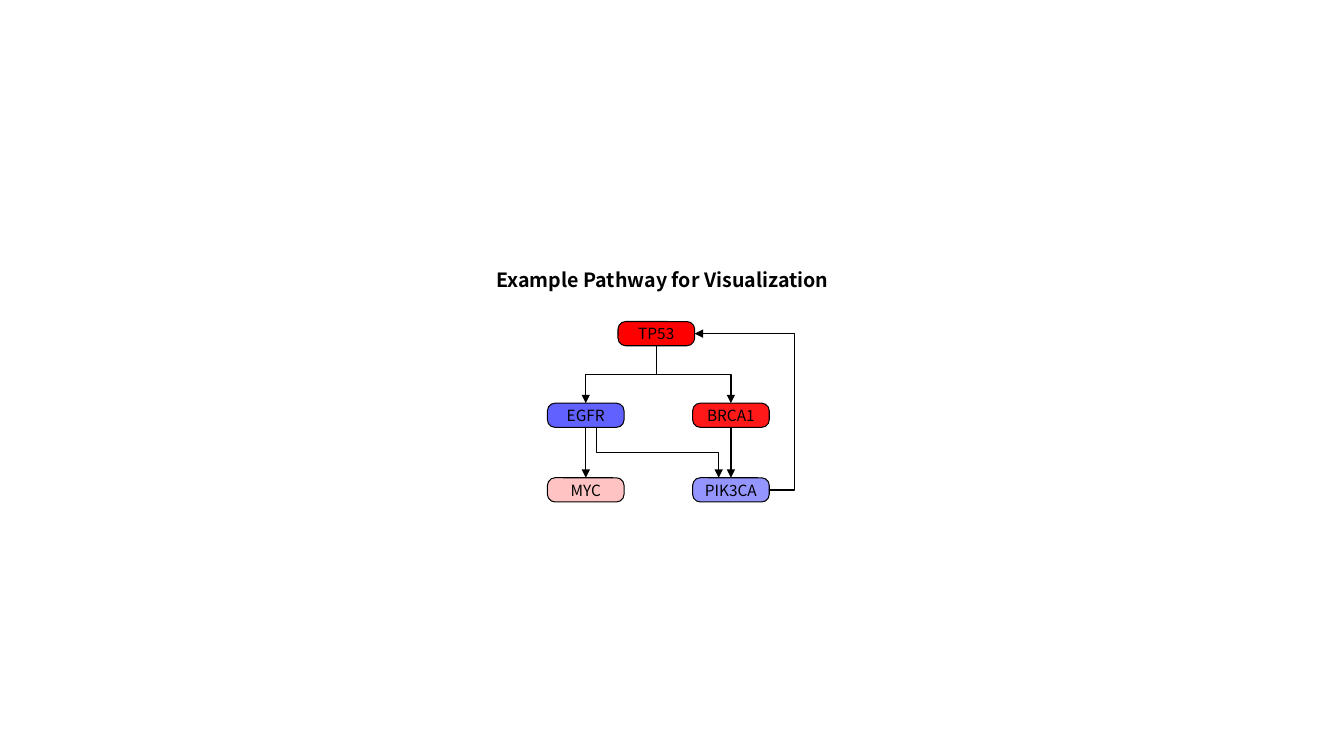
from lxml import etree
from pptx import Presentation
from pptx.dml.color import RGBColor
from pptx.enum.shapes import MSO_CONNECTOR, MSO_SHAPE
from pptx.enum.text import MSO_ANCHOR, MSO_AUTO_SIZE, PP_ALIGN
from pptx.oxml.ns import qn
from pptx.util import Inches, Pt

ROUNDED = MSO_SHAPE.ROUNDED_RECTANGLE
STRAIGHT = MSO_CONNECTOR.STRAIGHT
ELBOW = MSO_CONNECTOR.ELBOW
TOP, MIDDLE = MSO_ANCHOR.TOP, MSO_ANCHOR.MIDDLE
CENTER = PP_ALIGN.CENTER
FIT_SHAPE = MSO_AUTO_SIZE.SHAPE_TO_FIT_TEXT
TOP_SIDE, BOTTOM_SIDE = 0, 2

FONT = "Noto Sans CJK JP"
COLORS = {
    "ink": "000000",
    "TP53": "FF0000",
    "EGFR": "6161FF",
    "BRCA1": "FF1919",
    "MYC": "FFC3C3",
    "PIK3CA": "9595FF",
}
GENE_WIDTH, GENE_HEIGHT = 0.76, 0.24
LEFT_COLUMN, RIGHT_COLUMN = 5.43, 6.87
MIDDLE_ROW, BOTTOM_ROW = 4.0, 4.74
GENE_PLACES = {
    "TP53": (6.13, 3.19),
    "EGFR": (LEFT_COLUMN, MIDDLE_ROW),
    "BRCA1": (RIGHT_COLUMN, MIDDLE_ROW),
    "MYC": (LEFT_COLUMN, BOTTOM_ROW),
    "PIK3CA": (RIGHT_COLUMN, BOTTOM_ROW),
}


def color(name):
    return RGBColor.from_string(COLORS[name])


def write(shape, text, size, bold, anchor, side_inset, end_inset):
    frame = shape.text_frame
    frame.text = text
    frame.vertical_anchor = anchor
    frame.margin_left = frame.margin_right = Inches(side_inset)
    frame.margin_top = frame.margin_bottom = Inches(end_inset)
    para = frame.paragraphs[0]
    para.alignment = CENTER
    para.line_spacing = 1.0
    para.space_before = Pt(0)
    para.font.name = FONT
    para.font.size = Pt(size)
    para.font.bold = bold
    para.font.color.rgb = color("ink")


def place_title(page, text):
    title = page.shapes.title
    title.left, title.top = Inches(4.84), Inches(2.62)
    title.width, title.height = Inches(3.46), Inches(0.32)
    write(title, text, 14, True, TOP, 0.08, 0.04)
    title.text_frame.word_wrap = False
    title.text_frame.auto_size = FIT_SHAPE


def add_gene(page, name):
    left, top = GENE_PLACES[name]
    gene = page.shapes.add_shape(
        ROUNDED, Inches(left), Inches(top), Inches(GENE_WIDTH), Inches(GENE_HEIGHT))
    gene.adjustments[0] = 0.316
    gene.shadow.inherit = False
    gene.fill.solid()
    gene.fill.fore_color.rgb = color(name)
    gene.line.color.rgb = color("ink")
    gene.line.width = Pt(0.75)
    write(gene, name, 11, False, MIDDLE, 0.04, 0)
    return gene


def add_arrow(page, kind, start, end):
    arrow = page.shapes.add_connector(kind, *map(Inches, (*start, *end)))
    arrow.line.color.rgb = color("ink")
    arrow.line.width = Pt(1)
    line = arrow.line._get_or_add_ln()
    etree.SubElement(line, qn("a:tailEnd"), type="triangle")
    etree.SubElement(arrow._element.spPr, qn("a:effectLst"))
    return arrow


def join_down(page, upper, lower):
    arrow = add_arrow(page, STRAIGHT, (0, 0), (0, 0))
    arrow.begin_connect(upper, BOTTOM_SIDE)
    arrow.end_connect(lower, TOP_SIDE)


def add_step_down(page, start, end):
    center_x, center_y = (start[0] + end[0]) / 2, (start[1] + end[1]) / 2
    half_width = (end[1] - start[1]) / 2
    half_height = abs(end[0] - start[0]) / 2
    goes_right = end[0] > start[0]
    reach = -half_width if goes_right else half_width
    arrow = add_arrow(
        page, ELBOW,
        (center_x - reach, center_y - half_height),
        (center_x + reach, center_y + half_height))
    degrees = 270 if goes_right else 90
    arrow._element.spPr.find(qn("a:xfrm")).set("rot", str(degrees * 60000))


def add_feedback(page, start, end, bend):
    arrow = add_arrow(page, ELBOW, start, end)
    guides = arrow._element.spPr.find(qn("a:prstGeom")).find(qn("a:avLst"))
    etree.SubElement(guides, qn("a:gd"), name="adj1", fmla=f"val {round(bend * 100000)}")


def gene_point(name, across, down):
    left, top = GENE_PLACES[name]
    return left + across * GENE_WIDTH, top + down * GENE_HEIGHT


def main():
    deck = Presentation()
    deck.slide_width, deck.slide_height = Inches(13.33), Inches(7.5)
    page = deck.slides.add_slide(deck.slide_layouts[5])
    place_title(page, "Example Pathway for Visualization")
    genes = {name: add_gene(page, name) for name in GENE_PLACES}

    join_down(page, genes["EGFR"], genes["MYC"])
    join_down(page, genes["BRCA1"], genes["PIK3CA"])
    for target in ("EGFR", "BRCA1"):
        add_step_down(page, gene_point("TP53", 0.5, 1), gene_point(target, 0.5, 0))
    add_step_down(page, gene_point("EGFR", 0.64, 1), gene_point("PIK3CA", 0.34, 0))
    add_feedback(page, gene_point("PIK3CA", 1, 0.5), gene_point("TP53", 1, 0.5), -0.34)
    deck.save("out.pptx")


if __name__ == "__main__":
    main()
